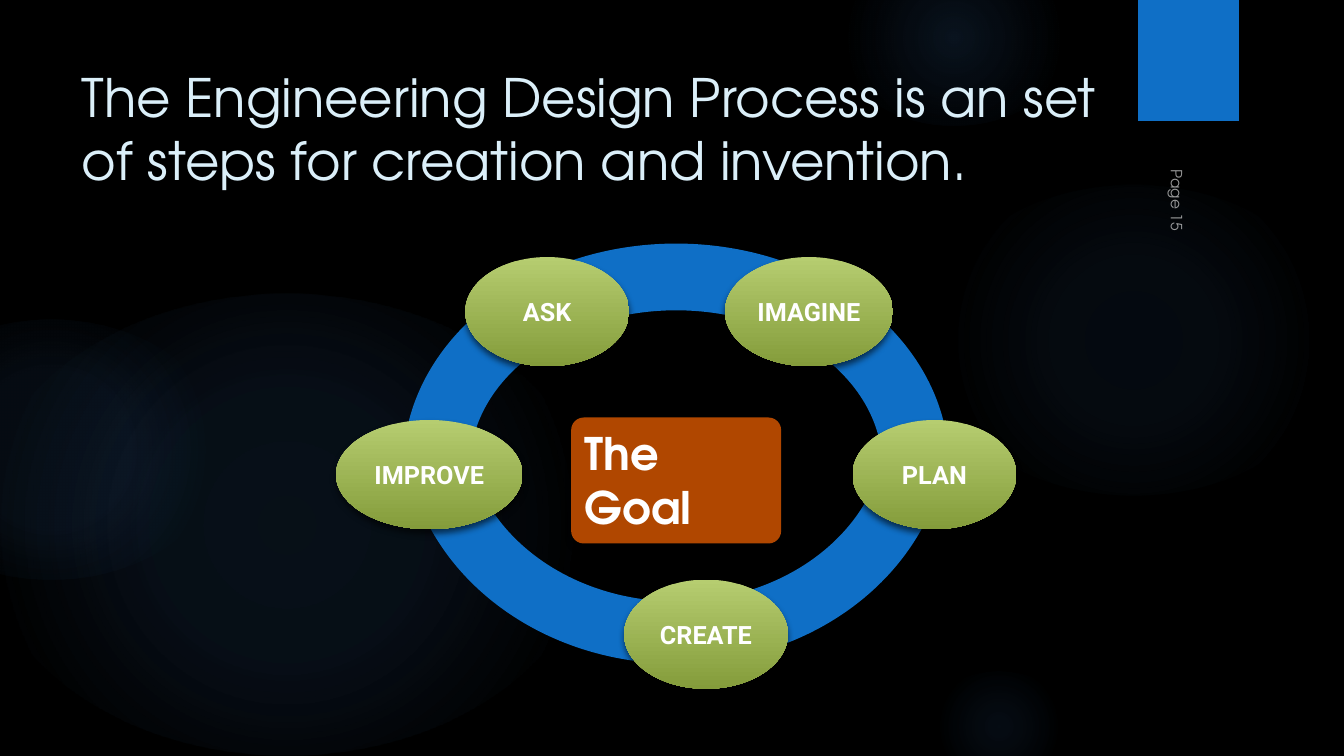
"""Build the Engineering Design Process cycle slide."""
from dataclasses import dataclass

from pptx import Presentation, util as u
from pptx.dml.color import RGBColor
from pptx.enum import shapes, text
from pptx.oxml import parse_xml
from pptx.oxml.ns import nsdecls, qn

COLUMNS, ROWS = 160, 90
CELL = u.Inches(1 / 12)
HEADING_FONT, STEP_FONT = "TeX Gyre Adventor", "Roboto"
COLORS = {
    "background": "000000",
    "halo": "448AD7",
    "blue": "0F6FC6",
    "title": "DBEFF9",
    "step_top": "B6CD70",
    "step_bottom": "849C3B",
    "goal": "B04700",
    "shadow": "000000",
    "white": "FFFFFF",
}


@dataclass(frozen=True)
class Box:
    """A rectangle in grid columns and rows."""
    column: float
    row: float
    width: float
    height: float

    def lengths(self) -> tuple[int, ...]:
        return tuple(round(cells * CELL) for cells in
                     (self.column, self.row, self.width, self.height))


@dataclass(frozen=True)
class Halo:
    """A soft glow: stops pair a position with an opacity, in percent."""
    box: Box
    stops: tuple[tuple[int, int], ...]


@dataclass(frozen=True)
class Arc:
    """One half of the ring."""
    box: Box
    rotation: float
    adjustments: tuple[float, float, float]


@dataclass(frozen=True)
class Step:
    """One stage of the design process."""
    label: str
    box: Box


HALOS = (
    Halo(Box(110.3, 22, 49.3, 37), ((0, 7), (36, 6), (69, 0))),
    Halo(Box(99.6, -6, 28, 21), ((0, 14), (36, 7), (73, 0))),
    Halo(Box(110.3, 80, 17.3, 13), ((0, 9), (36, 5), (66, 0))),
    Halo(Box(-2.6, 35, 73.3, 55), ((0, 11), (36, 10), (75, 0))),
    Halo(Box(-14.6, 38, 41.3, 31), ((0, 8), (36, 8), (72, 0))),
)
ARCS = (
    Arc(Box(48, 29, 65, 53), 0, (108, 213.2, 0.15)),
    Arc(Box(48, 22, 65, 57), 180, (108, 210.53, 0.13)),
)
STEPS = (
    Step("IMAGINE", Box(86.3, 30.6, 20, 13)),
    Step("ASK", Box(55.4, 30.6, 19.5, 13)),
    Step("PLAN", Box(101.5, 50, 19.5, 13)),
    Step("CREATE", Box(74.3, 69, 19.5, 13)),
    Step("IMPROVE", Box(40, 50, 22.2, 13)),
)


def rgb(name: str) -> RGBColor:
    return RGBColor.from_string(COLORS[name])


def add_plain_shape(slide, kind, box: Box, color: str | None = None):
    shape = slide.shapes.add_shape(kind, *box.lengths())
    shape.shadow.inherit = False
    shape.line.fill.background()
    if color:
        shape.fill.solid()
        shape.fill.fore_color.rgb = rgb(color)
    return shape


def add_shadow(shape, opacity: int, blur: float, distance: float) -> None:
    effects = shape._element.spPr.find(qn("a:effectLst"))
    effects.append(parse_xml(
        f'<a:outerShdw {nsdecls("a")} blurRad="{u.Pt(blur)}" dist="{u.Pt(distance)}" '
        f'dir="5400000" rotWithShape="0"><a:srgbClr val="{COLORS["shadow"]}">'
        f'<a:alpha val="{opacity * 1000}"/></a:srgbClr></a:outerShdw>'))


def write(shape, wording: str, font_name: str, size: float, color: str,
          bold: bool = False, alignment=text.PP_ALIGN.LEFT):
    frame = shape.text_frame
    frame.word_wrap = True
    frame.text = wording
    paragraph = frame.paragraphs[0]
    paragraph.alignment = alignment
    font = paragraph.font
    font.name, font.size, font.bold = font_name, u.Pt(size), bold
    font.color.rgb = rgb(color)
    return paragraph


def add_halo(slide, halo: Halo) -> None:
    shape = add_plain_shape(slide, shapes.MSO_SHAPE.OVAL, halo.box)
    stops = "".join(
        f'<a:gs pos="{position * 1000}"><a:srgbClr val="{COLORS["halo"]}">'
        f'<a:alpha val="{opacity * 1000}"/></a:srgbClr></a:gs>'
        for position, opacity in halo.stops)
    shape.fill.gradient()
    properties = shape._element.spPr
    properties.replace(properties.find(qn("a:gradFill")), parse_xml(
        f'<a:gradFill {nsdecls("a")} rotWithShape="1"><a:gsLst>{stops}</a:gsLst>'
        '<a:path path="circle"><a:fillToRect l="50000" t="50000" r="50000" b="50000"/>'
        '</a:path></a:gradFill>'))


def add_title(slide) -> None:
    title = slide.shapes.title
    title.left, title.top, title.width, title.height = Box(8.5, 6, 123.5, 18.4).lengths()
    write(title, "The Engineering Design Process is an set of steps for creation "
          "and invention.", HEADING_FONT, 37.8, "title")
    title.text_frame.auto_size = text.MSO_AUTO_SIZE.NONE
    title.text_frame.vertical_anchor = text.MSO_ANCHOR.MIDDLE
    slide.shapes._spTree.append(title._element)


def add_arc(slide, arc: Arc) -> None:
    shape = add_plain_shape(slide, shapes.MSO_SHAPE.BLOCK_ARC, arc.box, "blue")
    shape.rotation = arc.rotation
    for index, value in enumerate(arc.adjustments):
        shape.adjustments[index] = value


def add_step(slide, step: Step) -> None:
    shape = add_plain_shape(slide, shapes.MSO_SHAPE.OVAL, step.box)
    shape.fill.gradient()
    shape.fill.gradient_angle = 270
    for stop, color in zip(shape.fill.gradient_stops, ("step_top", "step_bottom")):
        stop.color.rgb = rgb(color)
    add_shadow(shape, 60, 5, 3)
    write(shape, step.label, STEP_FONT, 18, "white", True, text.PP_ALIGN.CENTER)
    shape.text_frame.margin_left = shape.text_frame.margin_right = 0
    shape.text_frame.vertical_anchor = text.MSO_ANCHOR.MIDDLE


def add_goal(slide) -> None:
    goal = add_plain_shape(slide, shapes.MSO_SHAPE.ROUNDED_RECTANGLE,
                           Box(68, 49.7, 25, 15), "goal")
    goal.adjustments[0] = 0.1
    add_shadow(goal, 60, 5, 3)
    write(goal, "The Goal", HEADING_FONT, 32, "white", True)
    goal.text_frame.auto_size = text.MSO_AUTO_SIZE.SHAPE_TO_FIT_TEXT
    goal.text_frame.vertical_anchor = text.MSO_ANCHOR.TOP


def add_page_number(slide) -> None:
    page = slide.shapes.add_textbox(*Box(133.3, 23.5, 13, 4).lengths())
    page.rotation = 90
    paragraph = write(page, "Page 15", HEADING_FONT, 11, "white")
    color = paragraph._p.find(f".//{qn('a:srgbClr')}")
    color.append(parse_xml(f'<a:alpha {nsdecls("a")} val="60000"/>'))


def main() -> None:
    presentation = Presentation()
    presentation.slide_width = COLUMNS * CELL
    presentation.slide_height = ROWS * CELL
    slide = presentation.slides.add_slide(presentation.slide_layouts.get_by_name("Title Only"))
    slide.background.fill.solid()
    slide.background.fill.fore_color.rgb = rgb("background")
    for halo in HALOS:
        add_halo(slide, halo)
    tab = add_plain_shape(slide, shapes.MSO_SHAPE.RECTANGLE, Box(135.5, 0, 12, 14.4), "blue")
    add_shadow(tab, 45, 3, 2)
    add_title(slide)
    for arc in ARCS:
        add_arc(slide, arc)
    for step in STEPS:
        add_step(slide, step)
    add_goal(slide)
    add_page_number(slide)
    presentation.save("out.pptx")


if __name__ == "__main__":
    main()
